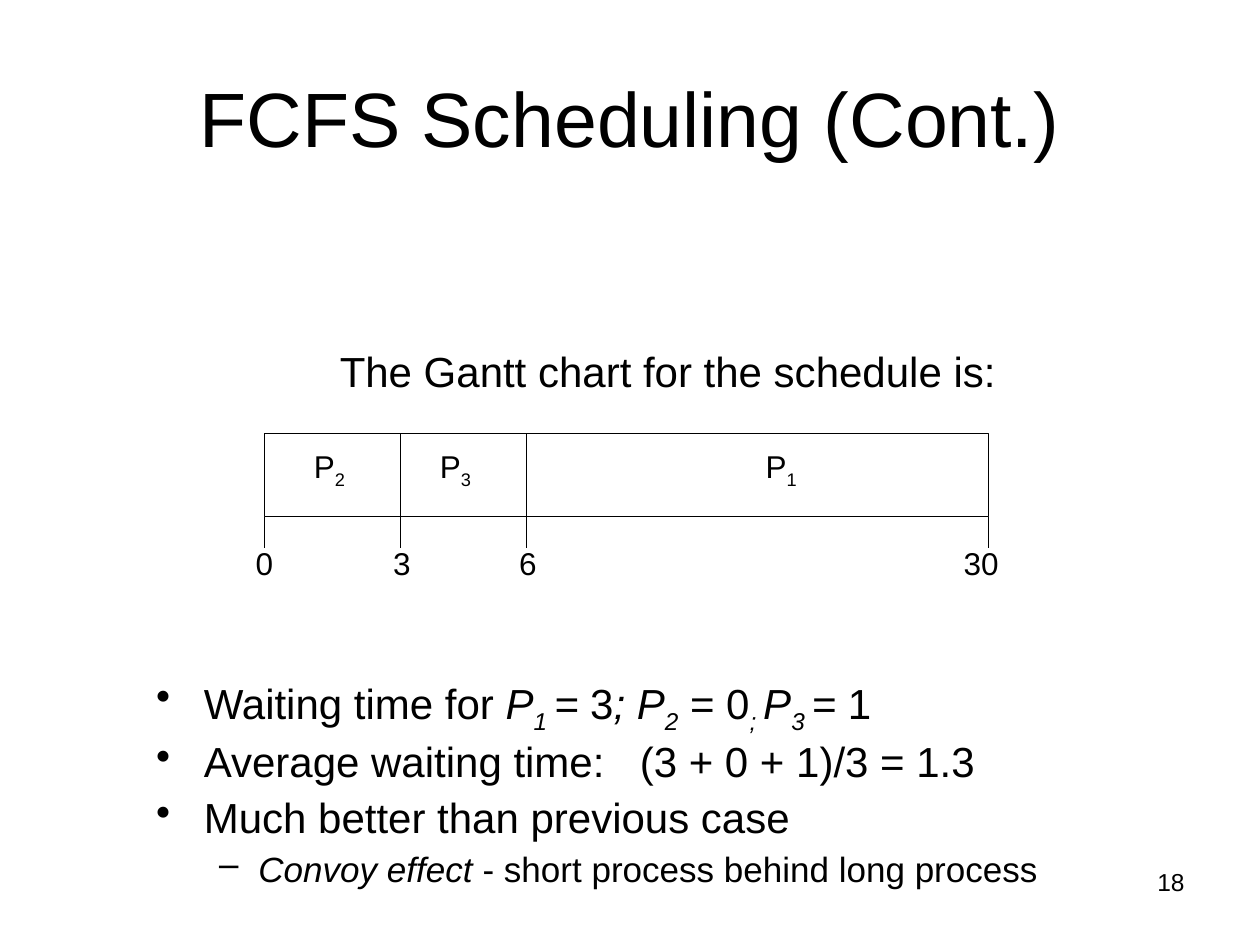
from lxml.etree import SubElement
from pptx import Presentation
from pptx.dml.color import RGBColor
from pptx.enum.shapes import MSO_CONNECTOR, MSO_SHAPE
from pptx.enum.text import MSO_ANCHOR, PP_ALIGN
from pptx.oxml.ns import qn
from pptx.util import Cm, Pt

COLORS = {"ink": "000000", "paper": "FFFFFF"}
FONT = "Arial"
TOP, BASE, FOOT = 8.74, 10.42, 11.05
TICKS = [("0", 5.33, 5.33), ("3", 8.08, 8.1), ("6", 10.62, 10.64), ("30", 19.93, 19.78)]
JOBS = [("2", 6.64), ("3", 9.18), ("1", 15.75)]
NOTES = [
    (0, [("Waiting time for ", ""), ("P", "i"), ("1 ", "is"), ("=", "i"), (" 3", ""),
         ("; P", "i"), ("2", "is"), (" = 0", ""), ("; ", "is"), ("P", "i"),
         ("3 ", "is"), ("= ", "i"), ("1", "")]),
    (0, [("Average waiting time:\t(3 + 0 + 1)/3 = 1.3", "")]),
    (0, [("Much better than previous case", "")]),
    (1, [("Convoy effect", "i"), (" - short process behind long process", "")]),
]
LEVELS = [("•", 24, 6.4, 0.96, 0.96), ("–", 20, 5, 2.06, 0.79)]


def color(name):
    return RGBColor.from_string(COLORS[name])


def style(para, size, align=PP_ALIGN.LEFT):
    para.alignment = align
    para.font.name = FONT
    para.font.size = Pt(size)
    para.font.color.rgb = color("ink")


def add_runs(para, runs):
    for text, marks in runs:
        run = para.add_run()
        run.text = text
        if "i" in marks:
            run.font.italic = True
        if "s" in marks:
            run._r.get_or_add_rPr().set("baseline", "-25000")


def add_box(slide, left, top, width, height, wrap=True):
    box = slide.shapes.add_textbox(Cm(left), Cm(top), Cm(width), Cm(height))
    box.text_frame.word_wrap = wrap
    return box.text_frame


def add_text(slide, text, left, top, width, height, size, align=PP_ALIGN.LEFT):
    para = add_box(slide, left, top, width, height).paragraphs[0]
    add_runs(para, [(text, "")])
    style(para, size, align)


def add_label(slide, runs, mid, top, height):
    width = 1.8
    frame = add_box(slide, mid - width / 2, top, width, height, False)
    frame.vertical_anchor = MSO_ANCHOR.MIDDLE
    para = frame.paragraphs[0]
    add_runs(para, runs)
    style(para, 18, PP_ALIGN.CENTER)


def add_line(slide, x, top, end):
    line = slide.shapes.add_connector(MSO_CONNECTOR.STRAIGHT, Cm(x), Cm(top), Cm(x), Cm(end))
    line.line.color.rgb = color("ink")
    line.line.width = Pt(0.75)
    SubElement(line._element.spPr, qn("a:effectLst"))


def add_gantt(slide):
    left, right = TICKS[0][1], TICKS[-1][1]
    bar = slide.shapes.add_shape(
        MSO_SHAPE.RECTANGLE, Cm(left), Cm(TOP), Cm(right - left), Cm(BASE - TOP))
    bar.shadow.inherit = False
    bar.fill.solid()
    bar.fill.fore_color.rgb = color("paper")
    bar.line.color.rgb = color("ink")
    bar.line.width = Pt(0.75)
    for job, mid in JOBS:
        add_label(slide, [("P", ""), (job, "s")], mid, 8.89, 1.12)
    for time, x, mid in TICKS:
        add_line(slide, x, BASE, FOOT)
        add_label(slide, [(time, "")], mid, 10.83, 1.02)
    for _, x, _ in TICKS[1:-1]:
        add_line(slide, x, TOP, BASE)


def add_notes(slide):
    frame = add_box(slide, 2.9, 13.55, 19.76, 4.6)
    for index, (level, runs) in enumerate(NOTES):
        para = frame.add_paragraph() if index else frame.paragraphs[0]
        sign, size, space, left, hang = LEVELS[level]
        add_runs(para, runs)
        style(para, size)
        para.level = level
        para.line_spacing = 0.9
        para.space_before = Pt(space)
        props = para._p.get_or_add_pPr()
        props.set("marL", str(Cm(left)))
        props.set("indent", str(-Cm(hang)))
        bullet = props.makeelement(qn("a:buChar"), {"char": sign})
        tabs = props.makeelement(qn("a:tabLst"), {})
        SubElement(tabs, qn("a:tab"), pos=str(Cm(9.75)), algn="l")
        spot = props.index(props.find(qn("a:defRPr")))
        props.insert(spot, bullet)
        props.insert(spot + 1, tabs)


def set_title(slide, text):
    title = slide.shapes.title
    title.left, title.top = Cm(1.27), Cm(0.76)
    title.width, title.height = Cm(22.86), Cm(3.18)
    title.text_frame.text = text
    title.text_frame.vertical_anchor = MSO_ANCHOR.MIDDLE
    style(title.text_frame.paragraphs[0], 44, PP_ALIGN.CENTER)


def main():
    deck = Presentation()
    deck.slide_width, deck.slide_height = Cm(25.4), Cm(19.05)
    slide = deck.slides.add_slide(deck.slide_layouts[5])
    set_title(slide, "FCFS Scheduling (Cont.)")
    add_text(slide, "The Gantt chart for the schedule is:", 6.6, 6.85, 14.2, 1.2, 24)
    add_gantt(slide)
    add_notes(slide)
    add_text(slide, "18", 18.21, 17.35, 5.92, 1.32, 14, PP_ALIGN.RIGHT)
    deck.save("out.pptx")


if __name__ == "__main__":
    main()
